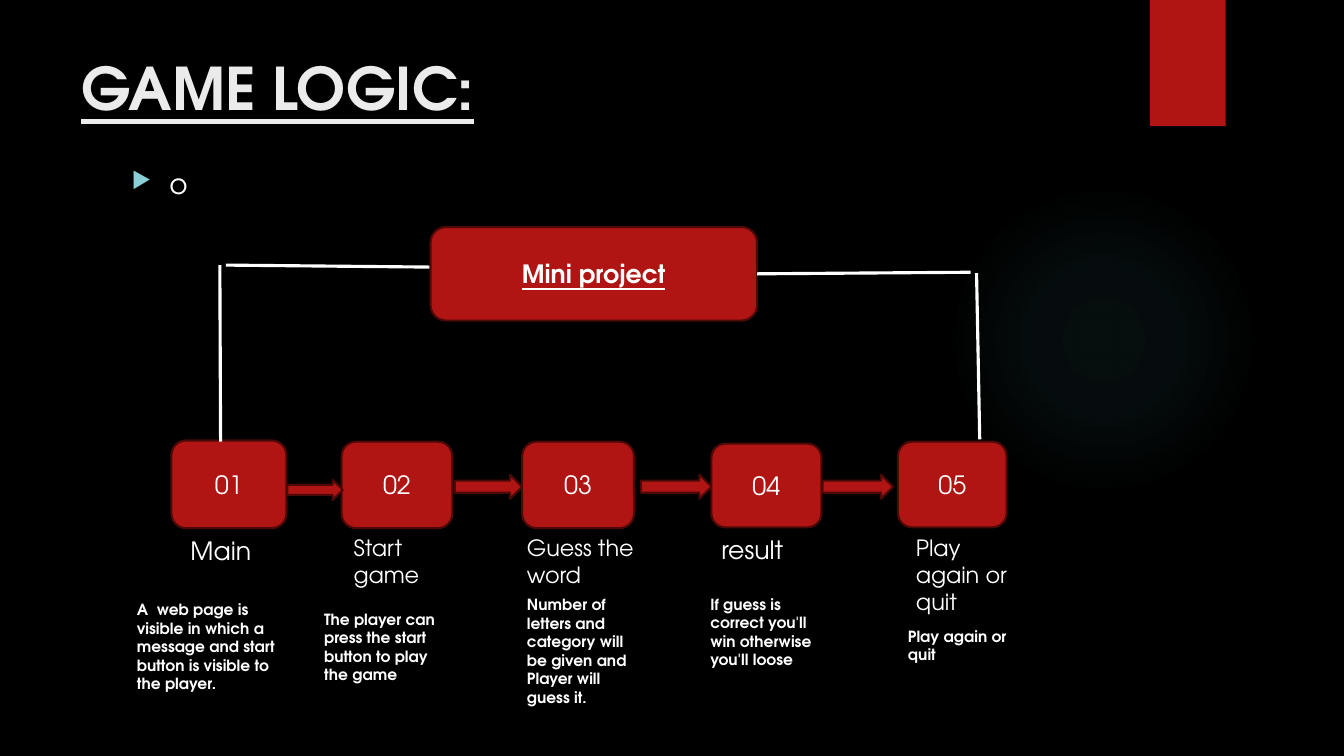
from lxml import etree
from pptx import Presentation
from pptx.dml.color import RGBColor
from pptx.enum.shapes import MSO_CONNECTOR, MSO_SHAPE
from pptx.enum.text import MSO_ANCHOR, MSO_AUTO_SIZE, PP_ALIGN
from pptx.oxml import parse_xml
from pptx.oxml.ns import nsdecls, qn
from pptx.util import Cm, Pt

ROUNDED = MSO_SHAPE.ROUNDED_RECTANGLE
ARROW = MSO_SHAPE.RIGHT_ARROW
STRAIGHT = MSO_CONNECTOR.STRAIGHT
MIDDLE = MSO_ANCHOR.MIDDLE
CENTER = PP_ALIGN.CENTER
GROW = MSO_AUTO_SIZE.SHAPE_TO_FIT_TEXT

FONT = "TeX Gyre Adventor"
RED, DARK_RED, WHITE = "B01513", "4D0908", "FFFFFF"


def color(hex_string):
    return RGBColor.from_string(hex_string)


def write(shape, text, size, bold=False, underline=False, ink=WHITE, align=None):
    frame = shape.text_frame
    frame.word_wrap = True
    frame.text = text
    for paragraph in frame.paragraphs:
        paragraph.alignment = align
        font = paragraph.font
        font.name, font.size = FONT, Pt(size)
        font.bold, font.underline = bold, underline
        font.color.rgb = color(ink)
    return frame


presentation = Presentation()
presentation.slide_width, presentation.slide_height = Cm(33.87), Cm(19.05)
slide = presentation.slides.add_slide(presentation.slide_layouts[6])
slide.background.fill.solid()
slide.background.fill.fore_color.rgb = color("000000")
shapes = slide.shapes

# Soft glow
glow = shapes.add_shape(MSO_SHAPE.OVAL, Cm(23.9), Cm(4.65), Cm(7.82), Cm(7.82))
glow.shadow.inherit = False
glow.line.fill.background()
stops = "".join(
    f'<a:gs pos="{position * 1000}"><a:srgbClr val="50B9C1">'
    f'<a:alpha val="{alpha * 1000}"/></a:srgbClr></a:gs>'
    for position, alpha in [(0, 7), (36, 6), (69, 0)])
gradient = parse_xml(
    f'<a:gradFill {nsdecls("a")}><a:gsLst>{stops}</a:gsLst><a:path path="circle">'
    '<a:fillToRect l="50000" t="50000" r="50000" b="50000"/></a:path></a:gradFill>')
glow.element.spPr.find(qn("a:prstGeom")).addnext(gradient)

# Corner ribbon
ribbon = shapes.add_shape(MSO_SHAPE.RECTANGLE, Cm(28.98), 0, Cm(1.91), Cm(3.18))
ribbon.shadow.inherit = False
ribbon.fill.solid()
ribbon.fill.fore_color.rgb = color(RED)
ribbon.line.fill.background()

# Title
title = shapes.add_textbox(Cm(1.8), Cm(1.27), Cm(26.14), Cm(1.85))
write(title, "GAME LOGIC:", 42, bold=True, underline=True,
      ink="EBEBEB").vertical_anchor = MIDDLE

# Bullet
body = shapes.add_textbox(Cm(3.07), Cm(4.06), Cm(24.84), Cm(13.31))
bullet = write(body, "o", 20).paragraphs[0]
bullet.space_before = Pt(10)
properties = bullet._p.get_or_add_pPr()
properties.set("marL", str(Cm(0.95)))
properties.set("indent", str(Cm(-0.95)))
marks = [
    f'<a:buClr {nsdecls("a")}><a:srgbClr val="8AD0D6"/></a:buClr>',
    f'<a:buSzPct {nsdecls("a")} val="80000"/>',
    f'<a:buChar {nsdecls("a")} char="▶"/>',
]
for offset, mark in enumerate(marks, start=1):
    properties.insert(offset, etree.fromstring(mark))

# Step boxes, project box and arrows: kind, left, top, width, height, text, bold
blocks = [
    (ROUNDED, 4.32, 11.1, 2.9, 2.21, "01", False),
    (ROUNDED, 8.61, 11.13, 2.79, 2.18, "02", False),
    (ROUNDED, 13.16, 11.13, 2.82, 2.18, "03", False),
    (ROUNDED, 17.93, 11.18, 2.77, 2.11, "04", False),
    (ROUNDED, 22.63, 11.13, 2.74, 2.16, "05", False),
    (ARROW, 7.24, 12.09, 1.4, 0.51, "", False),
    (ARROW, 11.46, 11.96, 1.7, 0.61, "", False),
    (ARROW, 16.15, 11.96, 1.78, 0.61, "", False),
    (ARROW, 20.73, 11.96, 1.78, 0.61, "", False),
    (ROUNDED, 10.85, 5.72, 8.23, 2.36, "Mini project", True),
]
for kind, left, top, width, height, text, emphasis in blocks:
    block = shapes.add_shape(kind, Cm(left), Cm(top), Cm(width), Cm(height))
    block.shadow.inherit = False
    block.fill.solid()
    block.fill.fore_color.rgb = color(RED)
    block.line.color.rgb = color(DARK_RED)
    block.line.width = Pt(1.5)
    if text:
        write(block, text, 18, bold=emphasis, underline=emphasis,
              align=CENTER).vertical_anchor = MIDDLE
project = block

# Bracket lines from the project to the first and last steps
brackets = [
    (5.54, 6.68, 5.56, 11.13),
    (5.69, 6.68, 10.82, 6.73),
    (24.69, 11.07, 24.61, 6.88),
    (19.08, 6.83, 24.46, 6.86),
]
for ends in brackets:
    bracket = shapes.add_connector(STRAIGHT, *[Cm(end) for end in ends])
    bracket.line.color.rgb = color(WHITE)
    bracket.line.width = Pt(2.25)
    etree.SubElement(bracket.element.spPr, qn("a:effectLst"))
bracket.begin_connect(project, 3)

# Step labels and descriptions: left, top, width, height, size, bold, text
captions = [
    (4.55, 13.36, 2.44, 1.02, 18, False, "Main"),
    (8.66, 13.34, 2.74, 1.63, 16, False, "Start\ngame"),
    (13.03, 13.34, 3.45, 1.63, 16, False, "Guess the word"),
    (17.93, 13.34, 2.29, 1.02, 18, False, "result"),
    (22.83, 13.34, 3.1, 2.31, 16, False, "Play again or quit"),
    (3.2, 15.01, 4.45, 2.62, 11, True,
     "A  web page is visible in which a message and start button is visible to the player."),
    (7.92, 15.24, 3.73, 2.13, 11, True,
     "The player can press the start button to play the game"),
    (13.03, 14.88, 3.33, 3.07, 11, True,
     "Number of letters and category will be given and Player will guess it."),
    (17.65, 14.86, 3.66, 2.13, 11, True,
     "If guess is correct you'll win otherwise you'll loose"),
    (22.63, 15.67, 3.63, 1.19, 11, True, "Play again or quit"),
]
for left, top, width, height, size, bold, text in captions:
    caption = shapes.add_textbox(Cm(left), Cm(top), Cm(width), Cm(height))
    write(caption, text, size, bold=bold).auto_size = GROW

presentation.save("out.pptx")
